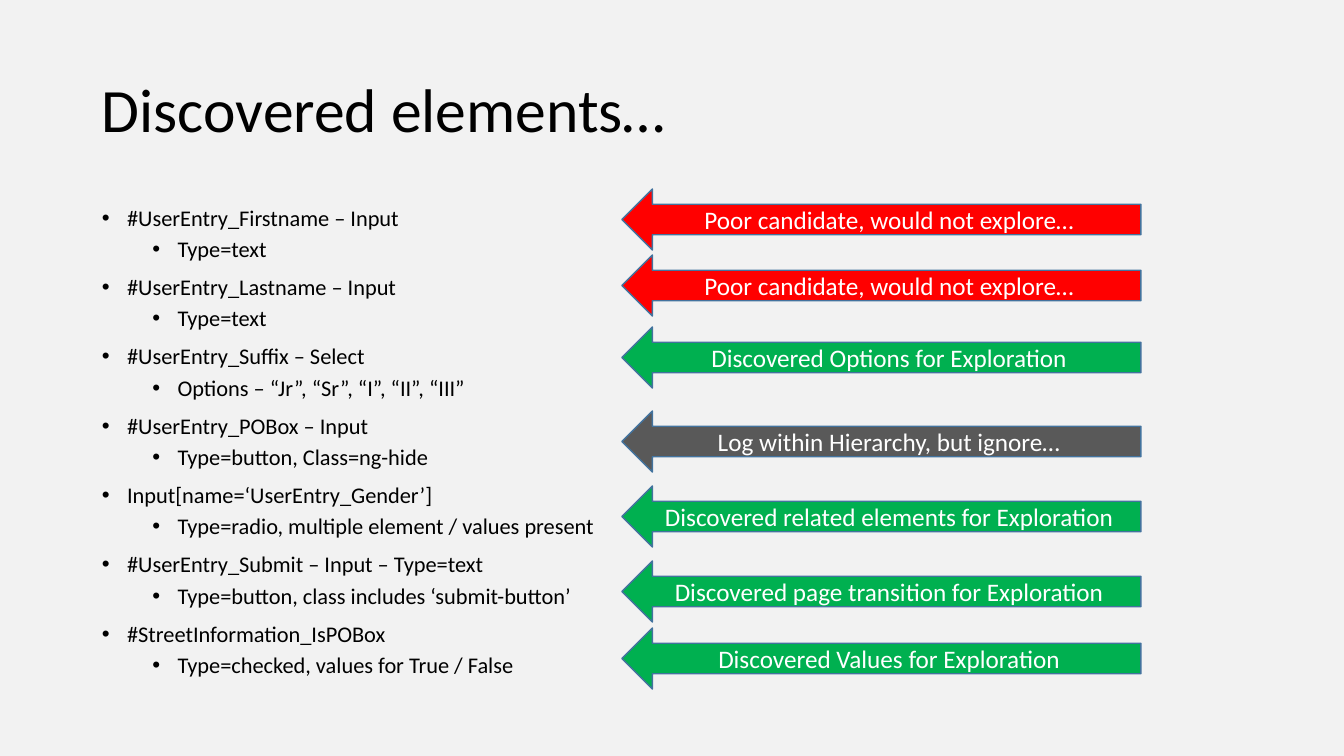
import lxml.etree
import pptx
import pptx.dml.color
import pptx.enum.shapes
import pptx.enum.text
import pptx.oxml.ns
import pptx.util
from dataclasses import dataclass

PX = 914400 / 100.8


@dataclass(frozen=True)
class Theme:
    font: str = "Calibri"
    background: str = "F2F2F2"
    text: str = "000000"
    arrow_text: str = "FFFFFF"
    arrow_line: str = "43739E"
    poor: str = "FF0000"
    discovered: str = "00B050"
    ignored: str = "595959"
    title_size: int = 44
    list_size: int = 16
    arrow_size: int = 18


THEME = Theme()
ALIGN = pptx.enum.text.PP_ALIGN
ANCHOR = pptx.enum.text.MSO_ANCHOR

# Element, its detail, verdict, arrow colour, arrow top in px
ELEMENTS = [
    ("#UserEntry_Firstname – Input", "Type=text",
     "Poor candidate, would not explore…", THEME.poor, 189),
    ("#UserEntry_Lastname – Input", "Type=text",
     "Poor candidate, would not explore…", THEME.poor, 255),
    ("#UserEntry_Suffix – Select", "Options – “Jr”, “Sr”, “I”, “II”, “III”",
     "Discovered Options for Exploration", THEME.discovered, 327),
    ("#UserEntry_POBox – Input", "Type=button, Class=ng-hide",
     "Log within Hierarchy, but ignore…", THEME.ignored, 411),
    ("Input[name=‘UserEntry_Gender’]", "Type=radio, multiple element / values present",
     "Discovered related elements for Exploration", THEME.discovered, 486),
    ("#UserEntry_Submit – Input – Type=text", "Type=button, class includes ‘submit-button’",
     "Discovered page transition for Exploration", THEME.discovered, 561),
    ("#StreetInformation_IsPOBox", "Type=checked, values for True / False",
     "Discovered Values for Exploration", THEME.discovered, 628),
]


def emu(*lengths):
    return [pptx.util.Emu(round(length * PX)) for length in lengths]


def color(value):
    return pptx.dml.color.RGBColor.from_string(value)


def add_bullet(paragraph, indent):
    properties = paragraph._p.get_or_add_pPr()
    properties.set("marL", str(pptx.util.Inches(indent)))
    properties.set("indent", str(pptx.util.Inches(-0.25)))
    for tag, attribute, value in (("a:buFont", "typeface", "Arial"), ("a:buChar", "char", "•")):
        bullet = lxml.etree.SubElement(properties, pptx.oxml.ns.qn(tag))
        bullet.set(attribute, value)


def write(paragraph, text, *, size, fill=THEME.text, align=ALIGN.LEFT,
          spacing=None, before=0, bullet_indent=None):
    if bullet_indent is not None:
        add_bullet(paragraph, bullet_indent)
    paragraph.alignment = align
    paragraph.space_before = pptx.util.Pt(before)
    if spacing:
        paragraph.line_spacing = spacing
    run = paragraph.add_run()
    run.text = text
    run.font.name = THEME.font
    run.font.size = pptx.util.Pt(size)
    run.font.color.rgb = color(fill)


def add_text_box(slide, left, top, width, height, anchor):
    frame = slide.shapes.add_textbox(*emu(left, top, width, height)).text_frame
    frame.word_wrap = True
    frame.vertical_anchor = anchor
    return frame


def add_element_list(slide):
    frame = add_text_box(slide, 92, 202, 633, 480, ANCHOR.TOP)
    for index, (element, detail, *_) in enumerate(ELEMENTS):
        first = index == 0
        paragraph = frame.paragraphs[0] if first else frame.add_paragraph()
        write(paragraph, element, size=THEME.list_size, spacing=0.9,
              before=0 if first else 10, bullet_indent=0.25)
        paragraph = frame.add_paragraph()
        paragraph.level = 1
        write(paragraph, detail, size=THEME.list_size, spacing=0.9,
              before=5, bullet_indent=0.75)


def add_verdict_arrow(slide, text, fill, top):
    shape = slide.shapes.add_shape(
        pptx.enum.shapes.MSO_SHAPE.LEFT_ARROW, *emu(622, top, 519, 61))
    shape.shadow.inherit = False
    shape.fill.solid()
    shape.fill.fore_color.rgb = color(fill)
    shape.line.color.rgb = color(THEME.arrow_line)
    shape.line.width = pptx.util.Pt(1)
    frame = shape.text_frame
    frame.word_wrap = True
    frame.vertical_anchor = ANCHOR.MIDDLE
    write(frame.paragraphs[0], text, size=THEME.arrow_size,
          fill=THEME.arrow_text, align=ALIGN.CENTER)


def main():
    presentation = pptx.Presentation()
    presentation.slide_width, presentation.slide_height = emu(1344, 756)
    slide = presentation.slides.add_slide(presentation.slide_layouts[6])
    slide.background.fill.solid()
    slide.background.fill.fore_color.rgb = color(THEME.background)

    # Title
    title = add_text_box(slide, 92, 40, 1159, 146, ANCHOR.MIDDLE)
    write(title.paragraphs[0], "Discovered elements…", size=THEME.title_size, spacing=0.9)

    # Elements and their verdicts
    add_element_list(slide)
    for _, _, verdict, fill, top in ELEMENTS:
        add_verdict_arrow(slide, verdict, fill, top)

    presentation.save("out.pptx")


if __name__ == "__main__":
    main()
